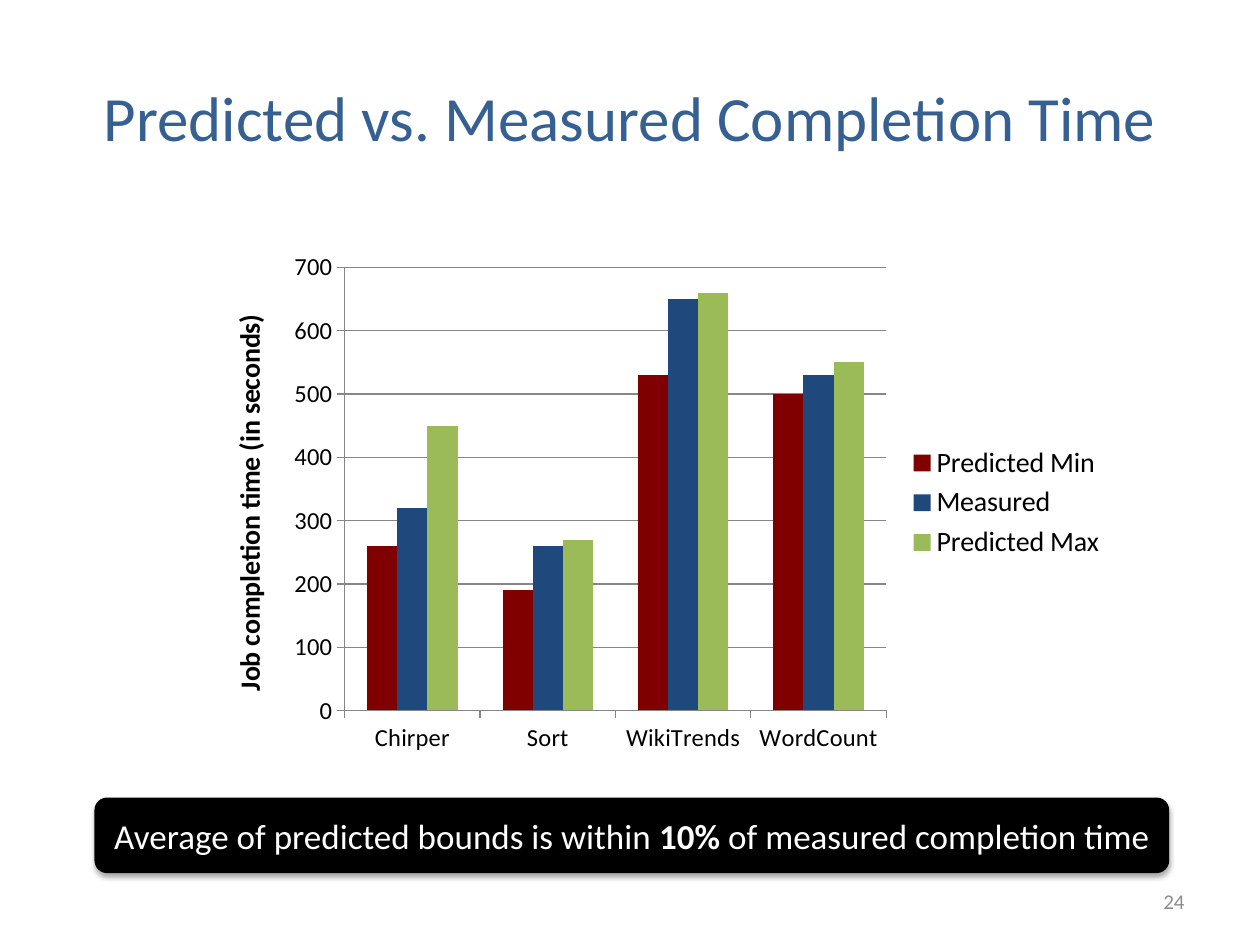
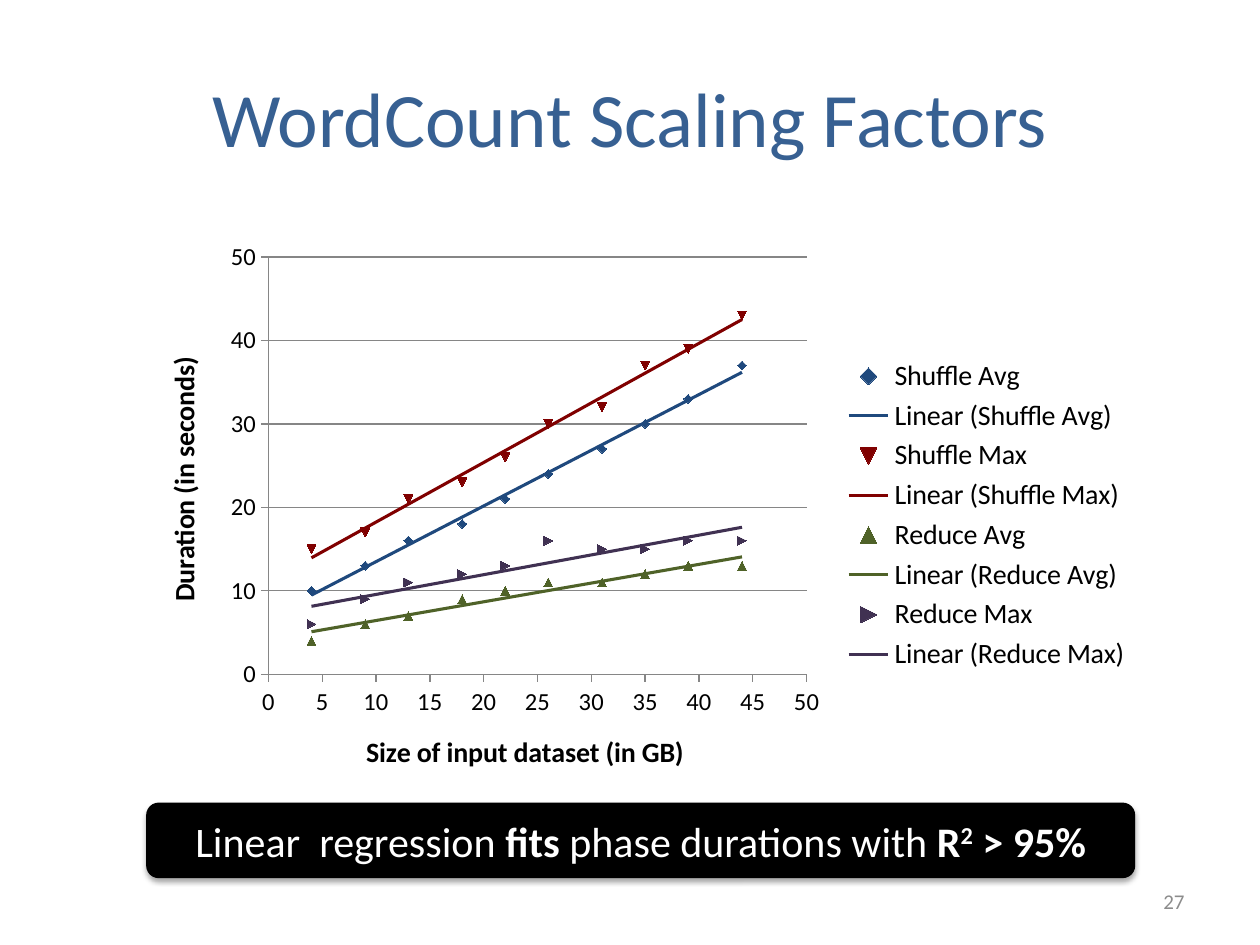
"""Build two slides on predicted job completion times and WordCount scaling factors."""
import pptx
import pptx.chart.data
import pptx.dml.color
import pptx.enum.chart
import pptx.enum.shapes
import pptx.enum.text
import pptx.oxml
import pptx.oxml.ns
import pptx.util
from pptx.util import Inches, Pt

FONT = "Calibri"
COLORS = {
    "title": "376092", "page": "8C8C8C", "banner": "000000", "white": "FFFFFF",
    "text": "000000", "axis": "868686", "red": "800000", "blue": "1F497D",
    "lime": "9BBB59", "green": "4F6228", "purple": "403152",
}
RGB = {name: pptx.dml.color.RGBColor.from_string(code) for name, code in COLORS.items()}
ALIGN = pptx.enum.text.PP_ALIGN
CHART_TYPE = pptx.enum.chart.XL_CHART_TYPE
NS = pptx.oxml.ns.nsdecls("a", "c")
SHADOW = f"""<a:effectLst {NS}>
  <a:outerShdw blurRad="{Pt(3.1)}" dist="{Pt(1.8)}" dir="5400000" rotWithShape="0">
    <a:srgbClr val="000000"><a:alpha val="35000"/></a:srgbClr>
  </a:outerShdw></a:effectLst>"""
TRENDLINE = f"""<c:trendline {NS}>
  <c:spPr><a:ln w="{Pt(1.75)}"><a:solidFill><a:srgbClr val="%s"/></a:solidFill></a:ln></c:spPr>
  <c:trendlineType val="linear"/><c:dispRSqr val="0"/><c:dispEq val="0"/>
</c:trendline>"""


def write(shape, pieces, size, color, align):
    """Fill a shape with one paragraph of (text, style) pieces."""
    frame = shape.text_frame
    frame.word_wrap = True
    frame.vertical_anchor = pptx.enum.text.MSO_ANCHOR.MIDDLE
    paragraph = frame.paragraphs[0]
    paragraph.alignment = align
    for text, style in pieces:
        run = paragraph.add_run()
        run.text = text
        run.font.name = FONT
        run.font.size = Pt(size)
        run.font.bold = style != "plain"
        run.font.color.rgb = RGB[color]
        if style == "super":
            run.font._element.set("baseline", "30000")


def style_axis(axis, title, gridlines):
    """Set an axis's line, ticks, labels and optional bold title."""
    axis.has_major_gridlines = gridlines
    axis.has_minor_gridlines = False
    if gridlines:
        axis.major_gridlines.format.line.color.rgb = RGB["axis"]
        axis.major_gridlines.format.line.width = Pt(0.75)
    axis.major_tick_mark = pptx.enum.chart.XL_TICK_MARK.OUTSIDE
    axis.minor_tick_mark = pptx.enum.chart.XL_TICK_MARK.NONE
    axis.format.line.color.rgb = RGB["axis"]
    axis.format.line.width = Pt(0.75)
    axis.tick_labels.font.size = Pt(14)
    axis.has_title = bool(title)
    if title:
        frame = axis.axis_title.text_frame
        frame.text = title
        font = frame.paragraphs[0].runs[0].font
        font.name, font.size, font.bold = FONT, Pt(16), True
        font.color.rgb = RGB["text"]
        if gridlines:
            frame._txBody.bodyPr.set("rot", "-5400000")
            frame._txBody.bodyPr.set("vert", "horz")


completion_times = pptx.chart.data.CategoryChartData()
completion_times.categories = ["Chirper", "Sort", "WikiTrends", "WordCount"]
completion_times.add_series("Predicted Min", [260, 190, 530, 500])
completion_times.add_series("Measured", [320, 260, 650, 530])
completion_times.add_series("Predicted Max", [450, 270, 660, 550])

dataset_sizes = [4, 9, 13, 18, 22, 26, 31, 35, 39, 44]
phase_durations = {
    "Shuffle Avg": [10, 13, 16, 18, 21, 24, 27, 30, 33, 37],
    "Shuffle Max": [15, 17, 21, 23, 26, 30, 32, 37, 39, 43],
    "Reduce Avg": [4, 6, 7, 9, 10, 11, 11, 12, 13, 13],
    "Reduce Max": [6, 9, 11, 12, 13, 16, 15, 15, 16, 16],
}
scaling = pptx.chart.data.XyChartData()
for phase, durations in phase_durations.items():
    points = scaling.add_series(phase)
    for gigabytes, seconds in zip(dataset_sizes, durations):
        points.add_data_point(gigabytes, seconds)

pages = [
    {
        "title": "Predicted vs. Measured Completion Time", "title_size": 36, "number": "24",
        "chart": (CHART_TYPE.COLUMN_CLUSTERED, 1.61, 1.92, 7.27, 4.14, completion_times),
        "x_title": None, "y_title": "Job completion time (in seconds)",
        "y_max": 700, "y_step": 100, "series_colors": ["red", "blue", "lime"],
        "banner": (0.75, 6.33, 8.53, 0.6), "banner_size": 20,
        "message": [("Average of predicted bounds is within ", "plain"), ("10% ", "bold"),
                    ("of measured completion time", "plain")],
    },
    {
        "title": "WordCount Scaling Factors", "title_size": 44, "number": "27",
        "chart": (CHART_TYPE.XY_SCATTER, 1.09, 1.83, 7.99, 4.52, scaling),
        "x_title": "Size of input dataset (in GB)", "y_title": "Duration (in seconds)",
        "y_max": 50, "y_step": 10, "series_colors": ["blue", "red", "green", "purple"],
        "banner": (1.16, 6.37, 7.85, 0.6), "banner_size": 24,
        "message": [("Linear  regression ", "plain"), ("fits ", "bold"),
                    ("phase durations with ", "plain"), ("R", "bold"), ("2", "super"),
                    (" > 95%", "bold")],
    },
]

deck = pptx.Presentation()
deck.slide_width, deck.slide_height = Inches(10), Inches(7.5)

for page in pages:
    slide = deck.slides.add_slide(deck.slide_layouts[6])
    heading = slide.shapes.add_textbox(Inches(0.5), Inches(0.3), Inches(9), Inches(1.25))
    write(heading, [(page["title"], "plain")], page["title_size"], "title", ALIGN.CENTER)

    kind, *place, values = page["chart"]
    chart = slide.shapes.add_chart(kind, *map(Inches, place), values).chart
    chart.has_title = False
    chart.font.name = FONT
    chart.font.size = Pt(10)
    chart.font.color.rgb = RGB["text"]
    chart.has_legend = True
    chart.legend.position = pptx.enum.chart.XL_LEGEND_POSITION.RIGHT
    chart.legend.include_in_layout = False
    chart.legend.font.size = Pt(16)
    style_axis(chart.category_axis, page["x_title"], False)
    style_axis(chart.value_axis, page["y_title"], True)
    chart.value_axis.minimum_scale = 0
    chart.value_axis.maximum_scale = page["y_max"]
    chart.value_axis.major_unit = page["y_step"]

    plot = chart.plots[0]
    plot.vary_by_categories = False
    if kind == CHART_TYPE.COLUMN_CLUSTERED:
        plot.gap_width, plot.overlap = 150, 0
    else:
        chart.category_axis.minimum_scale = 0
        chart.category_axis.maximum_scale = 50
        chart.category_axis.major_unit = 5
    for series, color in zip(plot.series, page["series_colors"]):
        if kind == CHART_TYPE.COLUMN_CLUSTERED:
            series.format.fill.solid()
            series.format.fill.fore_color.rgb = RGB[color]
            continue
        series.format.line.fill.background()
        series.marker.style = pptx.enum.chart.XL_MARKER_STYLE.AUTOMATIC
        series.marker.size = 5
        series.marker.format.fill.solid()
        series.marker.format.fill.fore_color.rgb = RGB[color]
        series.marker.format.line.color.rgb = RGB[color]
        x_values = series._element.find(pptx.oxml.ns.qn("c:xVal"))
        x_values.addprevious(pptx.oxml.parse_xml(TRENDLINE % COLORS[color]))

    number = slide.shapes.add_textbox(Inches(7.17), Inches(6.95), Inches(2.33), Inches(0.4))
    write(number, [(page["number"], "plain")], 12, "page", ALIGN.RIGHT)

    banner = slide.shapes.add_shape(
        pptx.enum.shapes.MSO_SHAPE.ROUNDED_RECTANGLE, *map(Inches, page["banner"]))
    banner.fill.solid()
    banner.fill.fore_color.rgb = RGB["banner"]
    banner.line.fill.background()
    banner._element.spPr.append(pptx.oxml.parse_xml(SHADOW))
    write(banner, page["message"], page["banner_size"], "white", ALIGN.CENTER)

deck.save("out.pptx")
